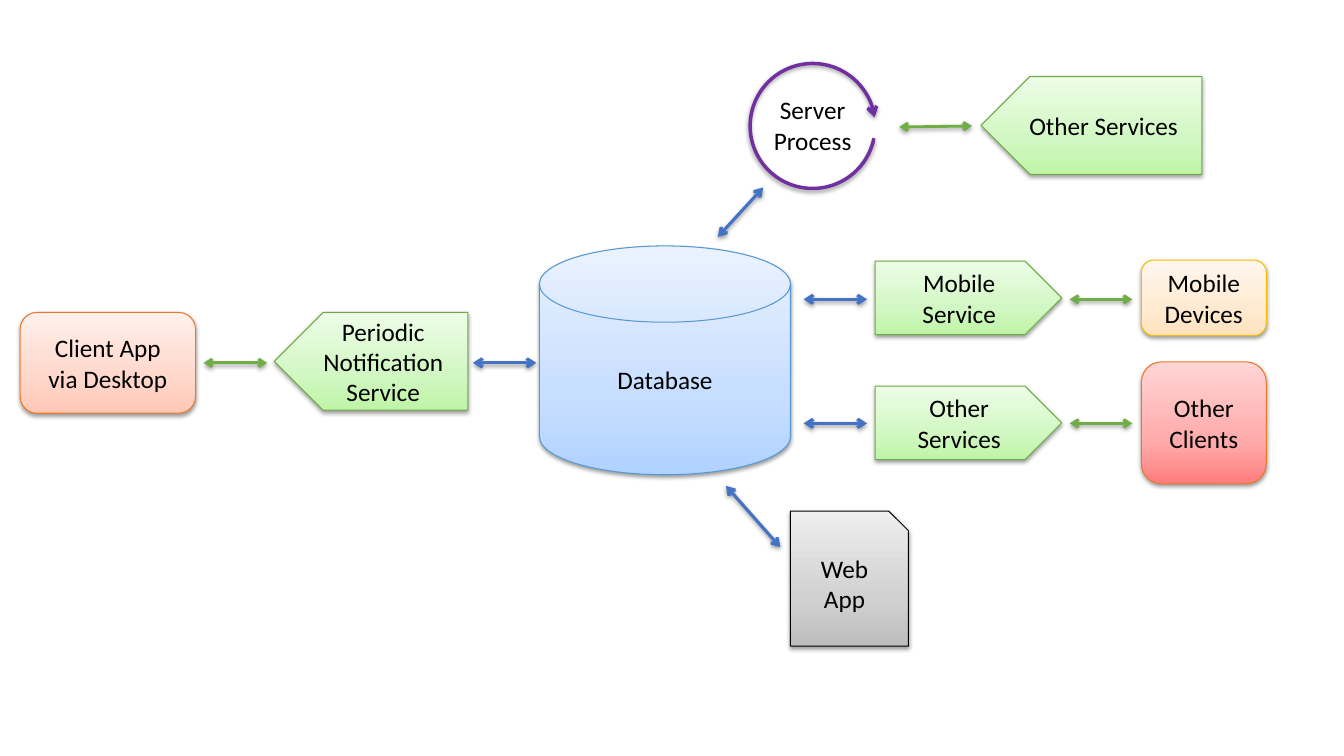
from lxml import etree
from pptx import Presentation
from pptx.dml.color import RGBColor
from pptx.enum.shapes import MSO_CONNECTOR, MSO_SHAPE as Preset
from pptx.enum.text import MSO_ANCHOR, MSO_AUTO_SIZE, PP_ALIGN
from pptx.oxml import parse_xml
from pptx.oxml.ns import nsdecls, qn
from pptx.util import Inches, Pt

COLORS = {
    "text": "000000", "process": "7030A0",
    "data_link": "4472C4", "client_link": "70AD47",
}
# Outline, then the gradient from bottom to top
STYLES = {
    "database": ("5698D3", ("B0D2FF", "C7DEFF", "EAF2FF")),
    "service": ("6DAC43", ("BEF5A7", "D1F7C2", "EDFDE7")),
    "client": ("EC792B", ("FFC7B6", "FFD7CB", "FFF0EB")),
    "mobile": ("F9BC00", ("FFE2BD", "FFEAD1", "FFF7EE")),
    "other": ("EC792B", ("FF7D7D", "FFABAB", "FFD5D5")),
    "web": ("000000", ("BDBDBD", "D1D1D1", "EEEEEE")),
}
GRADIENT_STOPS = (0, 35, 100)

# Text, preset, style, (left, top, width, height), points left
NODES = [
    ("Database", Preset.FLOWCHART_MAGNETIC_DISK, "database", (5.35, 2.44, 2.49, 2.27), False),
    ("Periodic\nNotification Service", Preset.PENTAGON, "service", (2.72, 3.1, 1.92, 0.97), True),
    ("Client App\nvia Desktop", Preset.ROUNDED_RECTANGLE, "client", (0.2, 3.1, 1.74, 1), False),
    ("Other Services", Preset.PENTAGON, "service", (9.73, 0.76, 2.19, 0.97), True),
    ("Mobile Service", Preset.PENTAGON, "service", (8.68, 2.59, 1.85, 0.73), False),
    ("Other Services", Preset.PENTAGON, "service", (8.68, 3.83, 1.85, 0.73), False),
    ("Mobile\nDevices", Preset.ROUNDED_RECTANGLE, "mobile", (11.32, 2.58, 1.24, 0.75), False),
    ("Other\nClients", Preset.ROUNDED_RECTANGLE, "other", (11.32, 3.59, 1.24, 1.21), False),
    ("Web\nApp", Preset.SNIP_1_RECTANGLE, "web", (7.84, 5.07, 1.17, 1.34), False),
]
PROCESS_ARC = (7.44, 0.63, 1.24, 1.24)
PROCESS_LABEL = ("Server\nProcess", (7.57, 0.89, 0.98, 0.71))

LINK_WIDTHS = {"data_link": 2.25, "client_link": 2}
LINKS = [
    ("data_link", (7.57, 1.86), (7.12, 2.35)),
    ("data_link", (7.2, 4.82), (7.74, 5.43)),
    ("data_link", (5.32, 3.6), (4.69, 3.6)),
    ("client_link", (2.65, 3.6), (2.02, 3.6)),
    ("client_link", (9.64, 1.25), (8.92, 1.26)),
]
for row_y in (2.97, 4.2):
    LINKS.append(("data_link", (8.6, row_y), (7.97, row_y)))
    LINKS.append(("client_link", (11.23, row_y), (10.61, row_y)))


def inches(values):
    return [Inches(value) for value in values]


def add_shadow(shape):
    shape.element.spPr.append(parse_xml(
        f'<a:effectLst {nsdecls("a")}>'
        '<a:outerShdw blurRad="40000" dist="20000" dir="5400000" rotWithShape="0">'
        '<a:srgbClr val="000000"><a:alpha val="38000"/></a:srgbClr>'
        '</a:outerShdw></a:effectLst>'))


def set_line(shape, color, width, arrows=()):
    """Style the outline; arrows names the ends, headEnd before tailEnd."""
    shape.line.color.rgb = RGBColor.from_string(color)
    shape.line.width = Pt(width)
    line = shape.element.spPr.find(qn("a:ln"))
    for end in arrows:
        etree.SubElement(line, qn(f"a:{end}")).set("type", "arrow")


def set_gradient(shape, colors):
    stops = "".join(
        f'<a:gs pos="{stop * 1000}"><a:srgbClr val="{color}"/></a:gs>'
        for stop, color in zip(GRADIENT_STOPS, colors))
    geometry = shape.element.spPr.find(qn("a:prstGeom"))
    geometry.addnext(parse_xml(
        f'<a:gradFill {nsdecls("a")} rotWithShape="1"><a:gsLst>{stops}</a:gsLst>'
        '<a:lin ang="16200000" scaled="0"/></a:gradFill>'))


def write_text(shape, text, wrap=True, anchor=MSO_ANCHOR.MIDDLE, size=18):
    frame = shape.text_frame
    frame.word_wrap = wrap
    frame.vertical_anchor = anchor
    paragraph = frame.paragraphs[0]
    paragraph.text = text
    paragraph.alignment = PP_ALIGN.CENTER
    for run in paragraph.runs:
        run.font.name = "Calibri"
        run.font.size = Pt(size)
        run.font.color.rgb = RGBColor.from_string(COLORS["text"])


def add_node(slide, text, preset, style, box, points_left):
    shape = slide.shapes.add_shape(preset, *inches(box))
    outline, gradient = STYLES[style]
    set_gradient(shape, gradient)
    set_line(shape, outline, 0.75)
    add_shadow(shape)
    if points_left:
        shape.element.spPr.find(qn("a:xfrm")).set("flipH", "1")
    write_text(shape, text)


def add_process(slide):
    arc = slide.shapes.add_shape(Preset.ARC, *inches(PROCESS_ARC))
    arc.adjustments[0] = 6.811
    arc.adjustments[1] = 211.291
    arc.fill.background()
    set_line(arc, COLORS["process"], 2.5, arrows=["tailEnd"])
    add_shadow(arc)
    text, box = PROCESS_LABEL
    label = slide.shapes.add_textbox(*inches(box))
    write_text(label, text, wrap=False, anchor=MSO_ANCHOR.TOP)
    label.text_frame.auto_size = MSO_AUTO_SIZE.SHAPE_TO_FIT_TEXT


def add_link(slide, kind, start, end):
    link = slide.shapes.add_connector(MSO_CONNECTOR.STRAIGHT, *inches(start + end))
    set_line(link, COLORS[kind], LINK_WIDTHS[kind], arrows=["headEnd", "tailEnd"])
    add_shadow(link)


def main():
    presentation = Presentation()
    presentation.slide_width = Inches(13.33)
    presentation.slide_height = Inches(7.5)
    slide = presentation.slides.add_slide(presentation.slide_layouts[6])
    for node in NODES:
        add_node(slide, *node)
    add_process(slide)
    for link in LINKS:
        add_link(slide, *link)
    presentation.save("out.pptx")


if __name__ == "__main__":
    main()
